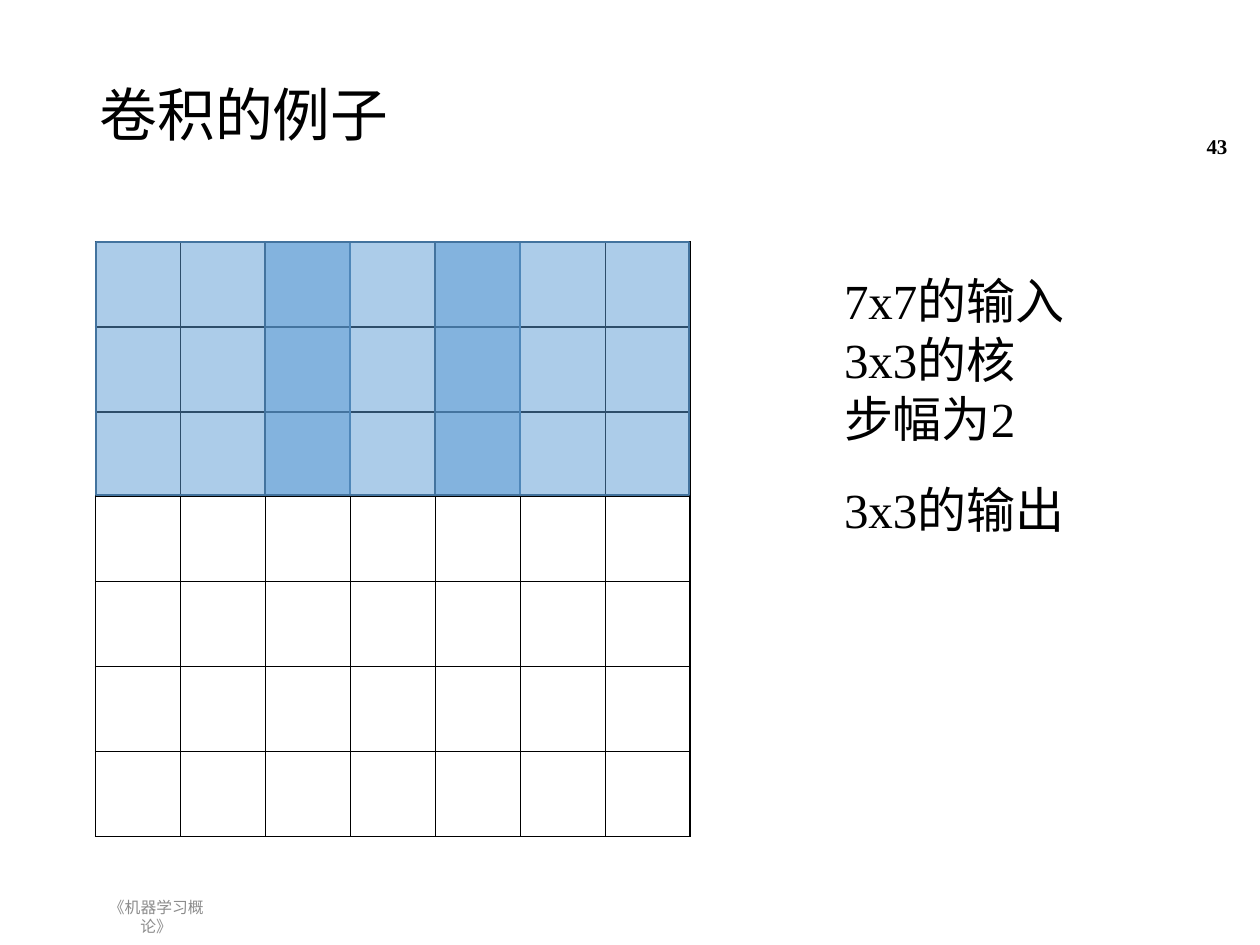
from dataclasses import dataclass

from lxml import etree
from pptx import Presentation
from pptx.dml.color import RGBColor
from pptx.enum import shapes, text
from pptx.oxml import ns
from pptx.util import Inches, Pt

FONT = "Times New Roman"
COLORS = {"ink": "000000", "gray": "8C8C8C", "blue": "5B9BD5", "edge": "43739E"}
CELLS = 7
GRID_X, GRID_Y, GRID_SIZE = 0.76, 1.92, 4.72
STEP = 1.345  # two cells: the stride
KERNELS = 3
KERNEL_W, KERNEL_H = 2.02, 2.01


@dataclass
class Label:
    box: tuple[float, float, float, float]
    lines: list[str]
    size: float
    color: str = "ink"
    bold: bool = False
    align: text.PP_ALIGN = text.PP_ALIGN.LEFT
    anchor: text.MSO_ANCHOR = text.MSO_ANCHOR.TOP


LABELS = [
    Label((0.69, 7.13, 1.1, 0.29), ["《机器学习概论》"], 9, "gray",
          align=text.PP_ALIGN.CENTER, anchor=text.MSO_ANCHOR.MIDDLE),
    Label((9.15, 0.96, 0.69, 0.4), ["43"], 12, bold=True,
          align=text.PP_ALIGN.RIGHT, anchor=text.MSO_ANCHOR.MIDDLE),
    Label((6.6, 2.1, 3.15, 1.51), ["7x7的输入", "3x3的核", "步幅为2"], 28),
    Label((6.6, 3.76, 3.15, 0.57), ["3x3的输出"], 28),
]


def rgb(name: str) -> RGBColor:
    return RGBColor.from_string(COLORS[name])


def write(shape, label: Label) -> None:
    """Place a shape and fill it with the label's text."""
    shape.left, shape.top, shape.width, shape.height = map(Inches, label.box)
    frame = shape.text_frame
    frame.word_wrap = True
    frame.vertical_anchor = label.anchor
    for i, line in enumerate(label.lines):
        para = frame.add_paragraph() if i else frame.paragraphs[0]
        para.alignment = label.align
        run = para.add_run()
        run.text = line
        run.font.name = FONT
        run.font.size = Pt(label.size)
        run.font.bold = label.bold
        run.font.color.rgb = rgb(label.color)


def add_border(cell) -> None:
    props = cell._tc.get_or_add_tcPr()
    for i, side in enumerate(("lnL", "lnR", "lnT", "lnB")):
        line = etree.Element(ns.qn(f"a:{side}"), w=str(Pt(1)))
        fill = etree.SubElement(line, ns.qn("a:solidFill"))
        etree.SubElement(fill, ns.qn("a:srgbClr"), val=COLORS["ink"])
        props.insert(i, line)


def add_grid(slide) -> None:
    size = Inches(GRID_SIZE)
    table = slide.shapes.add_table(
        CELLS, CELLS, Inches(GRID_X), Inches(GRID_Y), size, size).table
    table.first_row = table.horz_banding = False
    for part in (*table.columns,):
        part.width = size // CELLS
    for part in (*table.rows,):
        part.height = size // CELLS
    for cell in table.iter_cells():
        cell.fill.background()
        add_border(cell)


def add_kernel(slide, index: int) -> None:
    box = slide.shapes.add_shape(
        shapes.MSO_SHAPE.RECTANGLE, Inches(GRID_X + index * STEP),
        Inches(GRID_Y), Inches(KERNEL_W), Inches(KERNEL_H))
    box.shadow.inherit = False
    box.fill.solid()
    box.fill.fore_color.rgb = rgb("blue")
    color = box._element.spPr.find(f".//{ns.qn('a:srgbClr')}")
    etree.SubElement(color, ns.qn("a:alpha"), val="50000")
    box.line.color.rgb = rgb("edge")
    box.line.width = Pt(1)


def main() -> None:
    deck = Presentation()
    deck.slide_width, deck.slide_height = Inches(10), Inches(7.5)
    slide = deck.slides.add_slide(deck.slide_layouts[5])
    title = slide.shapes.title
    write(title, Label((0.69, 0.4, 8.62, 1.07), ["卷积的例子"], 33,
                       anchor=text.MSO_ANCHOR.MIDDLE))
    title.text_frame.paragraphs[0].line_spacing = 0.9
    add_grid(slide)
    for index in range(KERNELS):
        add_kernel(slide, index)
    for label in LABELS:
        write(slide.shapes.add_textbox(0, 0, 0, 0), label)
    deck.save("out.pptx")


if __name__ == "__main__":
    main()
